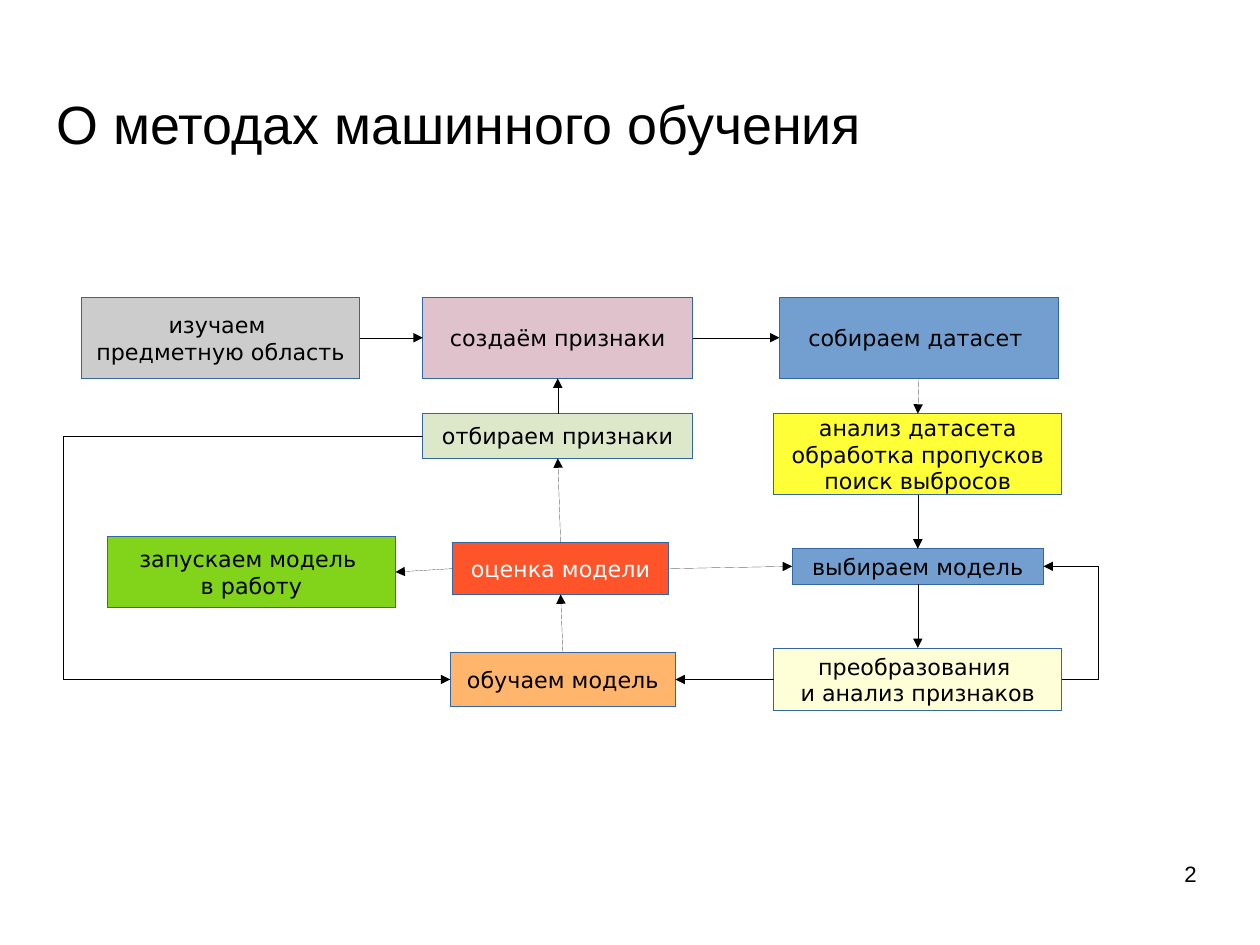
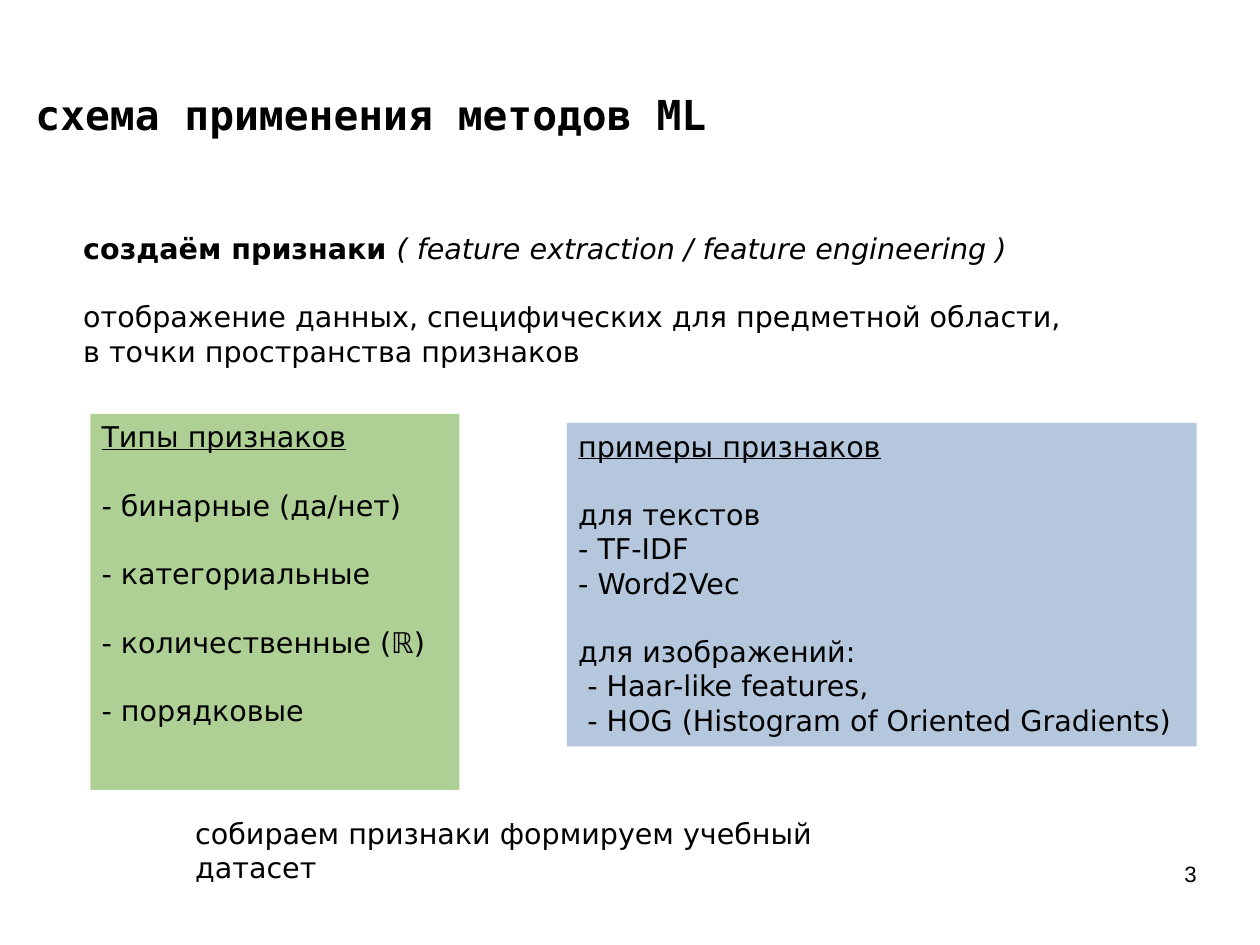
from dataclasses import dataclass

from lxml import etree
from pptx import Presentation
from pptx.dml.color import RGBColor
from pptx.enum.shapes import MSO_CONNECTOR, MSO_SHAPE
from pptx.enum.text import MSO_ANCHOR, PP_ALIGN
from pptx.oxml.ns import qn
from pptx.presentation import Presentation as Deck
from pptx.shapes.autoshape import Shape
from pptx.shapes.connector import Connector
from pptx.slide import Slide
from pptx.util import Cm, Inches, Pt

RECTANGLE = MSO_SHAPE.RECTANGLE
STRAIGHT = MSO_CONNECTOR.STRAIGHT
ELBOW = MSO_CONNECTOR.ELBOW
TOP_ANCHOR = MSO_ANCHOR.TOP
MIDDLE = MSO_ANCHOR.MIDDLE
LEFT = PP_ALIGN.LEFT
CENTER = PP_ALIGN.CENTER
RIGHT = PP_ALIGN.RIGHT
SIDES = {"top": 0, "left": 1, "bottom": 2, "right": 3}

SANS = "DejaVu Sans"
MONO = "DejaVu Sans Mono"
ARIAL = "Arial"
BODY_SIZE = 18
BLANK_LINE = 21.5
SUB_INDENT = 0.08

COLORS = {
    "black": "000000",
    "white": "FFFFFF",
    "outline": "3465A4",
    "gray": "CCCCCC",
    "pink": "E0C2CD",
    "blue": "729FCF",
    "cream": "FFFFD7",
    "sage": "DDE8CB",
    "red": "FF5429",
    "orange": "FFB66C",
    "lime": "81D41A",
    "yellow": "FFFF38",
    "light_blue": "B4C7DC",
    "light_green": "AFD095",
}


@dataclass(frozen=True)
class Box:
    left: float
    top: float
    width: float
    height: float


@dataclass(frozen=True)
class Span:
    text: str
    bold: bool = False
    italic: bool = False
    underline: bool = False


@dataclass(frozen=True)
class Line:
    spans: tuple[Span, ...]
    gap: float = 0
    indent: float = 0


@dataclass(frozen=True)
class Step:
    name: str
    box: Box
    fill: str
    text: str
    color: str = "black"


@dataclass(frozen=True)
class Arrow:
    start: str
    start_side: str
    end: str
    end_side: str
    bend: float | None = None


@dataclass(frozen=True)
class Panel:
    box: Box
    lines: list[Line]
    fill: str | None = None


def line(text: str, gap: float = 0, indent: float = 0, **style: bool) -> Line:
    return Line((Span(text, **style),), gap, indent)


STEPS = [
    Step("study", Box(0.71, 2.6, 2.44, 0.71), "gray", "изучаем \nпредметную область"),
    Step("create", Box(3.7, 2.6, 2.36, 0.71), "pink", "создаём признаки"),
    Step("collect", Box(6.82, 2.6, 2.44, 0.71), "blue", "собираем датасет "),
    Step("select", Box(3.7, 3.62, 2.36, 0.39), "sage", "отбираем признаки"),
    Step("analyse", Box(6.77, 3.62, 2.52, 0.71), "yellow",
         "анализ датасета\nобработка пропусков\nпоиск выбросов"),
    Step("launch", Box(0.94, 4.69, 2.52, 0.63), "lime", "запускаем модель \nв работу"),
    Step("evaluate", Box(3.96, 4.75, 1.89, 0.45), "red", "оценка модели", "white"),
    Step("choose", Box(6.93, 4.8, 2.2, 0.31), "blue", "выбираем модель"),
    Step("train", Box(3.94, 5.71, 1.97, 0.47), "orange", "обучаем модель"),
    Step("transform", Box(6.77, 5.67, 2.52, 0.55), "cream",
         "преобразования \nи анализ признаков"),
]

ARROWS = [
    Arrow("study", "right", "create", "left"),
    Arrow("create", "right", "collect", "left"),
    Arrow("collect", "bottom", "analyse", "top"),
    Arrow("analyse", "bottom", "choose", "top"),
    Arrow("choose", "bottom", "transform", "top"),
    Arrow("transform", "left", "train", "right"),
    Arrow("transform", "right", "choose", "right", bend=9.61),
    Arrow("train", "top", "evaluate", "bottom"),
    Arrow("evaluate", "right", "choose", "left"),
    Arrow("evaluate", "top", "select", "bottom"),
    Arrow("evaluate", "left", "launch", "right"),
    Arrow("select", "top", "create", "bottom"),
    Arrow("select", "left", "train", "left", bend=0.55),
]

PANELS = [
    Panel(Box(1.61, 7.09, 6.73, 0.68),
          [line("собираем признаки формируем учебный датасет")]),
    Panel(Box(4.96, 3.7, 5.51, 2.83), [
        line("примеры признаков", underline=True),
        line("для текстов", gap=BLANK_LINE),
        line("- TF-IDF"),
        line("- Word2Vec"),
        line("для изображений:", gap=BLANK_LINE),
        line("- Haar-like features,", indent=SUB_INDENT),
        line("- HOG (Histogram of Oriented Gradients)", indent=SUB_INDENT),
    ], "light_blue"),
    Panel(Box(0.79, 3.62, 3.23, 3.29), [
        line("Типы признаков", underline=True),
        *(line(f"- {kind}", gap=BLANK_LINE) for kind in (
            "бинарные (да/нет)", "категориальные", "количественные (ℝ)", "порядковые")),
    ], "light_green"),
    Panel(Box(0.63, 1.97, 9.76, 1.42), [
        Line((Span("создаём признаки ", bold=True),
              Span("( feature extraction / feature engineering )", italic=True))),
        line("отображение данных, специфических для предметной области,", gap=BLANK_LINE),
        line("в точки пространства признаков"),
    ]),
]


def rgb(name: str) -> RGBColor:
    return RGBColor.from_string(COLORS[name])


def position(box: Box) -> tuple[int, int, int, int]:
    return Inches(box.left), Inches(box.top), Inches(box.width), Inches(box.height)


def write_text(shape: Shape, lines: list[Line], *, size: float = BODY_SIZE,
               font: str = SANS, color: str = "black", align: PP_ALIGN = LEFT,
               anchor: MSO_ANCHOR = TOP_ANCHOR, wrap: bool = True,
               margins: tuple[float, float] = (0.1, 0.05)) -> None:
    frame = shape.text_frame
    frame.word_wrap = wrap
    frame.vertical_anchor = anchor
    frame.margin_left = frame.margin_right = Inches(margins[0])
    frame.margin_top = frame.margin_bottom = Inches(margins[1])
    for index, item in enumerate(lines):
        paragraph = frame.add_paragraph() if index else frame.paragraphs[0]
        paragraph.alignment = align
        paragraph.space_before = Pt(item.gap)
        if item.indent:
            paragraph._p.get_or_add_pPr().set("marL", str(Inches(item.indent)))
        for span in item.spans:
            run = paragraph.add_run()
            run.text = span.text
            run.font.name = font
            run.font.size = Pt(size)
            run.font.color.rgb = rgb(color)
            run.font.bold = span.bold
            run.font.italic = span.italic
            run.font.underline = span.underline


def add_text(slide: Slide, box: Box, lines: list[Line], **style) -> None:
    write_text(slide.shapes.add_textbox(*position(box)), lines, **style)


def set_hairline(shape: Shape | Connector, color: str) -> None:
    shape.line.color.rgb = rgb(color)
    shape._element.spPr.find(qn("a:ln")).set("w", "0")


def add_rectangle(slide: Slide, box: Box, fill: str, outline: str | None = None) -> Shape:
    shape = slide.shapes.add_shape(RECTANGLE, *position(box))
    shape.shadow.inherit = False
    shape.fill.solid()
    shape.fill.fore_color.rgb = rgb(fill)
    if outline:
        set_hairline(shape, outline)
    else:
        shape.line.fill.background()
    return shape


def add_arrow(slide: Slide, arrow: Arrow, shapes: dict[str, Shape]) -> None:
    kind = STRAIGHT if arrow.bend is None else ELBOW
    connector = slide.shapes.add_connector(kind, 0, 0, 0, 0)
    connector.begin_connect(shapes[arrow.start], SIDES[arrow.start_side])
    connector.end_connect(shapes[arrow.end], SIDES[arrow.end_side])
    set_hairline(connector, "black")
    properties = connector._element.spPr
    etree.SubElement(properties.find(qn("a:ln")), qn("a:tailEnd"), type="triangle")
    etree.SubElement(properties, qn("a:effectLst"))
    if arrow.bend is not None:
        run = connector.end_x - connector.begin_x
        ratio = (Inches(arrow.bend) - connector.begin_x) / run
        geometry = properties.find(qn("a:prstGeom"))
        guides = geometry.find(qn("a:avLst"))
        if guides is None:
            guides = etree.SubElement(geometry, qn("a:avLst"))
        etree.SubElement(guides, qn("a:gd"), name="adj1",
                         fmla=f"val {round(ratio * 100000)}")


def add_slide(presentation: Deck, number: int, title: str, title_box: Box,
              bold: bool = False, **title_style) -> Slide:
    slide = presentation.slides.add_slide(presentation.slide_layouts[6])
    add_text(slide, title_box, [line(title, bold=bold)], anchor=MIDDLE,
             margins=(0, 0), **title_style)
    add_text(slide, Box(7.9, 7.53, 2.57, 0.57), [line(str(number))], size=14,
             font=ARIAL, align=RIGHT, margins=(0, 0))
    return slide


def build_workflow(presentation: Deck) -> None:
    slide = add_slide(presentation, 2, "О методах машинного обучения",
                      Box(0.16, 0.81, 7.72, 0.53), size=33.9, font=ARIAL, align=CENTER)
    shapes: dict[str, Shape] = {}
    for step in STEPS:
        shape = add_rectangle(slide, step.box, step.fill, "outline")
        write_text(shape, [line(text) for text in step.text.split("\n")], size=14,
                   color=step.color, align=CENTER, anchor=MIDDLE, wrap=False)
        shapes[step.name] = shape
    for arrow in ARROWS:
        add_arrow(slide, arrow, shapes)


def build_features(presentation: Deck) -> None:
    slide = add_slide(presentation, 3, "схема применения методов ML",
                      Box(0.31, 0.73, 9.45, 0.53), size=26, font=MONO, bold=True)
    for panel in PANELS:
        if panel.fill:
            write_text(add_rectangle(slide, panel.box, panel.fill), panel.lines)
        else:
            add_text(slide, panel.box, panel.lines)


def main() -> None:
    presentation = Presentation()
    presentation.slide_width = Cm(28)
    presentation.slide_height = Cm(21)
    build_workflow(presentation)
    build_features(presentation)
    presentation.save("out.pptx")


if __name__ == "__main__":
    main()
